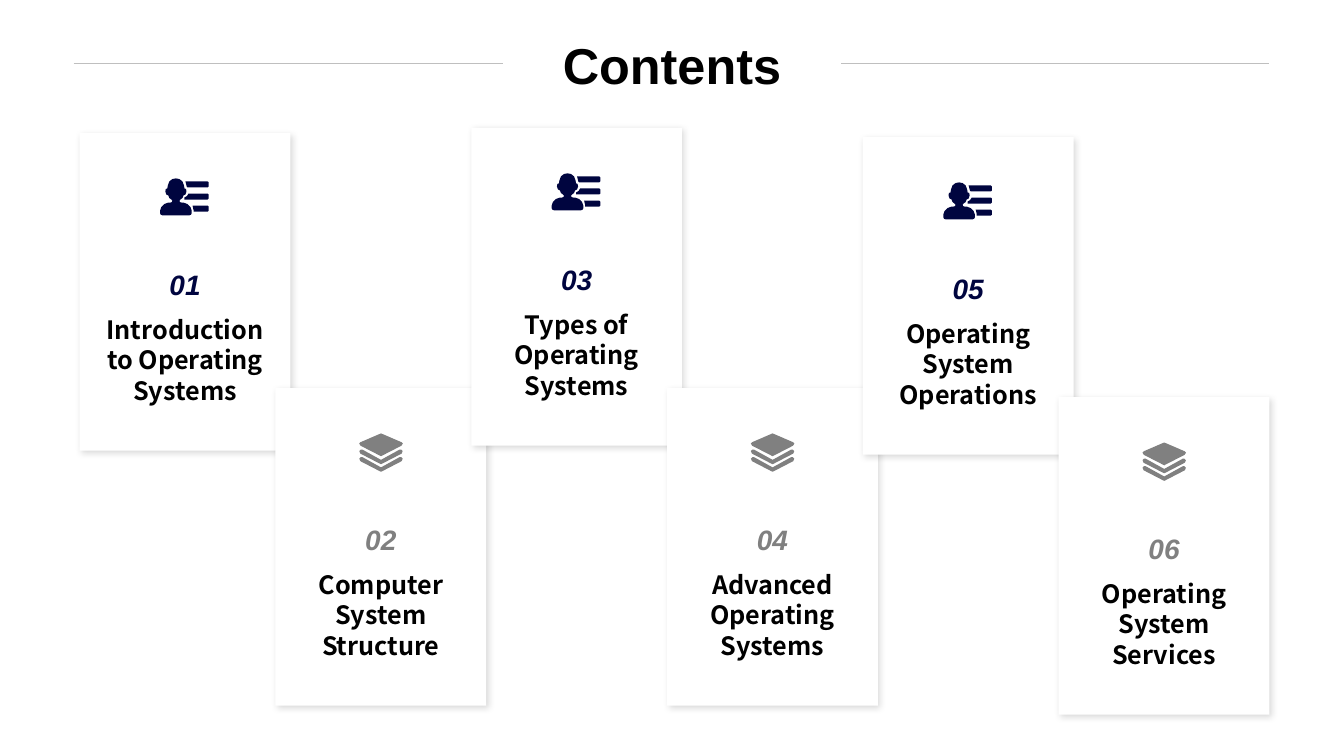
from lxml import etree
from pptx import Presentation
from pptx.dml.color import RGBColor
from pptx.enum.shapes import MSO_CONNECTOR as CONNECTOR, MSO_SHAPE as SHAPE
from pptx.enum.text import MSO_ANCHOR as ANCHOR, PP_ALIGN as ALIGN
from pptx.oxml import parse_xml
from pptx.oxml.ns import nsdecls, qn
from pptx.util import Inches, Pt

NAVY, GRAY, BLACK, WHITE, RULE = "00053F", "808080", "000000", "FFFFFF", "BFBFBF"

TITLE_FORMAT = dict(name="Arial", size=Pt(36), bold=True, italic=False)
NUMBER_FORMAT = dict(name="Arial", size=Pt(20), bold=True, italic=True)
HEADING_FORMAT = dict(name="Noto Sans CJK SC", size=Pt(18), bold=True, italic=False)

CARD_WIDTH, CARD_HEIGHT, CARD_PITCH = 2.09, 3.15, 1.942
FIRST_CARD_LEFT = 0.79
CARDS = [
    (1.32, "Introduction to Operating Systems"),
    (3.85, "Computer System Structure"),
    (1.27, "Types of Operating Systems"),
    (3.85, "Advanced Operating Systems"),
    (1.36, "Operating System Operations"),
    (3.94, "Operating System Services"),
]


def mirrored(right_half, axis):
    """Close a symmetric outline given its right half from top to bottom."""
    return right_half + [(2 * axis - x, y) for x, y in reversed(right_half)]


def bar(left_edge, top):
    """Rounded bar ending at the icon's right side; left_edge runs upwards."""
    right_edge = [(470, top), (480, top + 10), (480, top + 50), (470, top + 60)]
    return right_edge + left_edge


# Icon outlines, in thousandths of an inch
PERSON = mirrored([
    (155, 0), (190, 7), (220, 30), (235, 70), (240, 100), (255, 105), (260, 130),
    (250, 160), (230, 170), (220, 195), (200, 210), (190, 222), (195, 235),
    (210, 240), (230, 240), (270, 255), (300, 285), (312, 320), (312, 345),
    (305, 360), (290, 366)], 155)
PERSON_ICON = [
    PERSON,
    bar([(270, 90), (262, 80), (250, 30)], 30),
    bar([(240, 210), (240, 190), (265, 175), (280, 150)], 150),
    bar([(330, 330), (330, 315), (320, 270)], 270),
]
LAYER = mirrored([(217, 0), (225, 3), (420, 87), (433, 100), (420, 122),
                  (225, 222), (217, 226)], 217)
CHEVRON_RIGHT = [(402, 0), (417, 0), (432, 15), (422, 40), (225, 142), (217, 145)]
CHEVRON = mirrored(CHEVRON_RIGHT, 217) + [(32, 0), (217, 102)]
LAYERS_ICON = [LAYER] + [[(x, y + drop) for x, y in CHEVRON] for drop in (160, 235)]


def color(value):
    return RGBColor.from_string(value)


def paint(shape, value):
    shape.fill.solid()
    shape.fill.fore_color.rgb = color(value)
    shape.line.fill.background()
    shape.shadow.inherit = False


def write(shape, text, text_format, text_color, anchor):
    frame = shape.text_frame
    frame.word_wrap = True
    frame.vertical_anchor = anchor
    paragraph = frame.paragraphs[0]
    paragraph.text = text
    paragraph.alignment = ALIGN.CENTER
    for name, value in text_format.items():
        setattr(paragraph.font, name, value)
    paragraph.font.color.rgb = color(text_color)
    return paragraph


def add_card_shadow(shape):
    effects = shape.element.spPr.find(qn("a:effectLst"))
    effects.append(parse_xml(
        f'<a:outerShdw {nsdecls("a")} blurRad="{Pt(5)}" dist="{Pt(2)}" dir="2700000" '
        'algn="tl" rotWithShape="0"><a:srgbClr val="000000">'
        '<a:alpha val="15000"/></a:srgbClr></a:outerShdw>'))


def add_icon(slide, outlines, left, top, fill):
    builder = slide.shapes.build_freeform(*outlines[0][0], scale=Inches(1) / 1000)
    for outline in outlines:
        builder.move_to(*outline[0])
        builder.add_line_segments(outline[1:], close=True)
    paint(builder.convert_to_shape(Inches(left), Inches(top)), fill)


def add_card(slide, left, top, number, heading):
    card = slide.shapes.add_shape(SHAPE.RECTANGLE, Inches(left), Inches(top),
                                  Inches(CARD_WIDTH), Inches(CARD_HEIGHT))
    paint(card, WHITE)
    add_card_shadow(card)

    odd = number % 2 == 1
    accent = NAVY if odd else GRAY
    icon, inset = (PERSON_ICON, 0.8) if odd else (LAYERS_ICON, 0.83)
    add_icon(slide, icon, left + inset, top + 0.45, accent)

    def add_text(offset, height, *content):
        box = slide.shapes.add_textbox(Inches(left + 0.07), Inches(top + offset),
                                       Inches(CARD_WIDTH - 0.14), Inches(height))
        return write(box, *content)

    add_text(1.26, 0.48, f"{number:02}", NUMBER_FORMAT, accent, ANCHOR.MIDDLE)
    paragraph = add_text(1.75, 1, heading, HEADING_FORMAT, BLACK, ANCHOR.TOP)
    paragraph.line_spacing = Pt(21.6)


def add_title(slide, left, top, width, height):
    """Place the title over the middle of a thin rule."""
    middle = Inches(0.63)
    rule = slide.shapes.add_connector(CONNECTOR.STRAIGHT, Inches(0.73), middle,
                                      Inches(12.59), middle)
    rule.line.color.rgb = color(RULE)
    rule.line.width = Pt(0.25)
    etree.SubElement(rule.element.spPr, qn("a:effectLst"))

    title = slide.shapes.title
    title.left, title.top = Inches(left), Inches(top)
    title.width, title.height = Inches(width), Inches(height)
    title.fill.solid()
    title.fill.fore_color.rgb = color(WHITE)
    write(title, "Contents", TITLE_FORMAT, BLACK, ANCHOR.MIDDLE)
    title.element.getparent().append(title.element)  # bring in front of the rule


def build_contents_slide(presentation):
    slide = presentation.slides.add_slide(presentation.slide_layouts[5])
    add_title(slide, 4.99, 0.28, 3.35, 0.71)
    for index, (top, heading) in enumerate(CARDS):
        add_card(slide, FIRST_CARD_LEFT + index * CARD_PITCH, top, index + 1, heading)


def main():
    presentation = Presentation()
    presentation.slide_width = Inches(13.33)
    presentation.slide_height = Inches(7.5)
    build_contents_slide(presentation)
    presentation.save("out.pptx")


if __name__ == "__main__":
    main()
